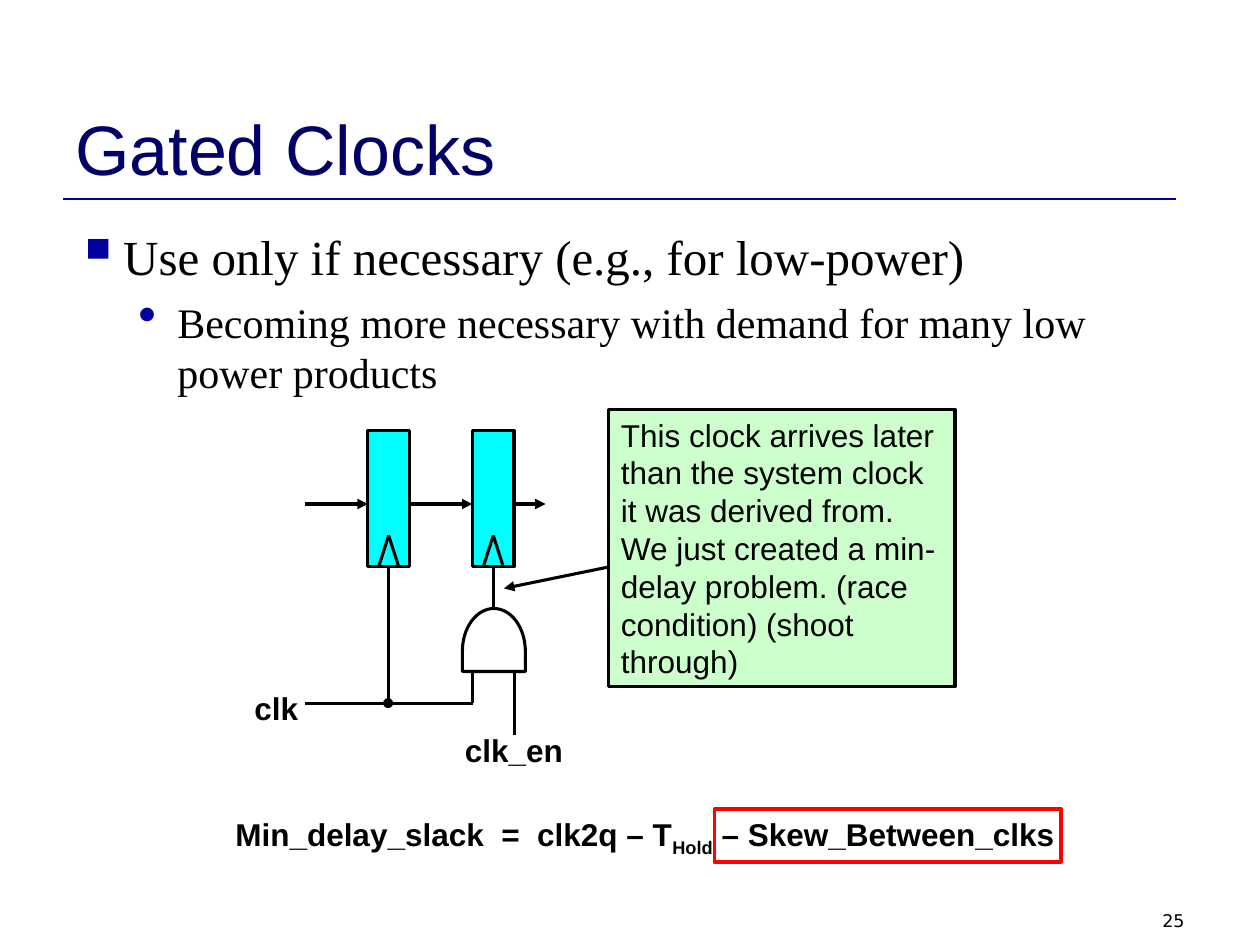
from math import cos, pi, sin

from lxml.etree import SubElement
from pptx import Presentation
from pptx.dml.color import RGBColor
from pptx.enum.shapes import MSO_CONNECTOR as CONN, MSO_SHAPE as SHAPE
from pptx.enum.text import MSO_ANCHOR as ANCHOR, PP_ALIGN as ALIGN
from pptx.oxml.ns import qn
from pptx.util import Inches, Pt

BLACK = RGBColor(0x00, 0x00, 0x00)
NAVY = RGBColor(0x00, 0x00, 0x66)
BLUE = RGBColor(0x00, 0x00, 0xA0)
CYAN = RGBColor(0x00, 0xFF, 0xFF)
GREEN = RGBColor(0xCC, 0xFF, 0xCC)
RED = RGBColor(0xFF, 0x00, 0x00)

LABEL = {"name": "Arial", "size": Pt(18), "bold": True}
NOTE = {"name": "Arial", "size": Pt(18)}
TITLE = {"name": "Arial", "size": Pt(40)}
NUMBER = {"name": "DejaVu Sans", "size": Pt(10)}
POINT = {"name": "Times New Roman", "size": Pt(28)}
SUBPOINT = {"name": "Times New Roman", "size": Pt(24)}


class Diagram:
    """Draws styled elements on the current slide."""

    def __init__(self, slide, weight=1.75):
        self.shapes = slide.shapes
        self.weight = Pt(weight)

    def run(self, p, text, style, color=BLACK, baseline=0):
        r = p.add_run()
        r.text = text
        for key, value in style.items():
            setattr(r.font, key, value)
        r.font.color.rgb = color
        if baseline:
            r.font._element.set("baseline", str(baseline))

    def text(self, box, text="", style=LABEL, color=BLACK, wrap=False,
             anchor=ANCHOR.TOP, align=ALIGN.LEFT):
        tf = self.shapes.add_textbox(*map(Inches, box)).text_frame
        tf.word_wrap = wrap
        tf.vertical_anchor = anchor
        p = tf.paragraphs[0]
        p.alignment = align
        if text:
            self.run(p, text, style, color)
        return tf

    def bullet(self, p, text, style, char, margin, hang, level=0):
        p.level = level
        pPr = p._p.get_or_add_pPr()
        pPr.set("marL", str(Inches(margin)))
        pPr.set("indent", str(-Inches(hang)))
        color = SubElement(pPr, qn("a:buClr"))
        SubElement(color, qn("a:srgbClr")).set("val", str(BLUE))
        SubElement(pPr, qn("a:buSzPct")).set("val", "125000")
        SubElement(pPr, qn("a:buChar")).set("char", char)
        self.run(p, text, style)

    def paint(self, sp, fill, line, weight=None):
        sp.shadow.inherit = False
        if fill is None:
            sp.fill.background()
        else:
            sp.fill.solid()
            sp.fill.fore_color.rgb = fill
        if line is None:
            sp.line.fill.background()
        else:
            sp.line.color.rgb = line
            sp.line.width = weight or self.weight

    def shape(self, kind, box, fill=None, line=BLACK, weight=None):
        sp = self.shapes.add_shape(kind, *map(Inches, box))
        self.paint(sp, fill, line, weight)
        return sp

    def line(self, x1, y1, x2, y2, arrow=False, color=BLACK, weight=None):
        cx = self.shapes.add_connector(CONN.STRAIGHT, *map(Inches, (x1, y1, x2, y2)))
        cx.line.color.rgb = color
        cx.line.width = weight or self.weight
        if arrow:
            SubElement(cx.line._get_or_add_ln(), qn("a:tailEnd")).set("type", "triangle")
        SubElement(cx._element.spPr, qn("a:effectLst"))

    def register(self, x, y=3.42, width=0.33, height=1.08):
        self.shape(SHAPE.RECTANGLE, (x, y, width, height), CYAN)
        middle, bottom = x + width / 2, y + height
        for side in (-0.08, 0.08):
            self.line(middle, bottom - 0.25, middle + side, bottom)

    def and_gate(self, x, y, rx=0.25, ry=0.34, base=0.16, steps=32):
        angles = [pi * i / steps for i in range(steps + 1)]
        points = [(x + rx * cos(a), y - ry * sin(a)) for a in angles]
        points += [(x - rx, y + base), (x + rx, y + base)]
        start, *rest = [(Inches(px), Inches(py)) for px, py in points]
        outline = self.shapes.build_freeform(*start)
        outline.add_line_segments(rest, close=True)
        self.paint(outline.convert_to_shape(), None, BLACK)


def main():
    prs = Presentation()
    prs.slide_width, prs.slide_height = Inches(10), Inches(7.5)
    d = Diagram(prs.slides.add_slide(prs.slide_layouts[6]))

    d.line(0.5, 1.58, 9.33, 1.58, color=BLUE, weight=Pt(1.5))
    d.text((7.17, 7.17, 2.33, 0.25), "25", NUMBER, wrap=True, align=ALIGN.RIGHT)
    d.text((0.5, 0.3, 9, 1.25), "Gated Clocks", TITLE, NAVY, True, ANCHOR.BOTTOM)

    tf = d.text((0.5, 1.75, 9, 1.67), wrap=True)
    d.bullet(tf.paragraphs[0], "Use only if necessary (e.g., for low-power)",
             POINT, "▪", 0.38, 0.38)
    p = tf.add_paragraph()
    d.bullet(p, "Becoming more necessary with demand for many low power products",
             SUBPOINT, "•", 0.81, 0.31, level=1)
    p.space_before = Pt(6)

    for x in (2.92, 3.75):
        d.register(x)
    for x1, x2 in ((2.42, 2.92), (3.25, 3.75), (4.08, 4.33)):
        d.line(x1, 4, x2, 4, arrow=True)

    d.and_gate(3.92, 5.17)
    for x, top, bottom in ((3.08, 4.5, 5.58), (3.92, 4.5, 4.83),
                           (3.75, 5.33, 5.58), (4.08, 5.33, 5.83)):
        d.line(x, top, x, bottom)
    d.line(3.75, 5.58, 2.42, 5.58)
    d.shape(SHAPE.OVAL, (3.04, 5.54, 0.08, 0.08), BLACK, None)
    d.text((1.92, 5.42, 0.55, 0.4), "clk")
    d.text((3.59, 5.75, 0.98, 0.4), "clk_en")

    note = d.shape(SHAPE.RECTANGLE, (4.83, 3.25, 2.75, 2.2), GREEN)
    tf = note.text_frame
    tf.word_wrap = True
    tf.vertical_anchor = ANCHOR.TOP
    p = tf.paragraphs[0]
    p.alignment = ALIGN.LEFT
    d.run(p, "This clock arrives later than the system clock it was derived from.  "
             "We just created a min-delay problem. (race condition) (shoot through)", NOTE)
    d.line(4.83, 4.5, 4, 4.67, arrow=True)

    p = d.text((1.77, 6.42, 6.7, 0.44)).paragraphs[0]
    d.run(p, "Min_delay_slack  =  clk2q – T", LABEL)
    d.run(p, "Hold", LABEL, baseline=-25000)
    d.run(p, " – Skew_Between_clks", LABEL)
    d.shape(SHAPE.RECTANGLE, (5.67, 6.42, 2.75, 0.42), None, RED, Pt(2))

    prs.save("out.pptx")


if __name__ == "__main__":
    main()
